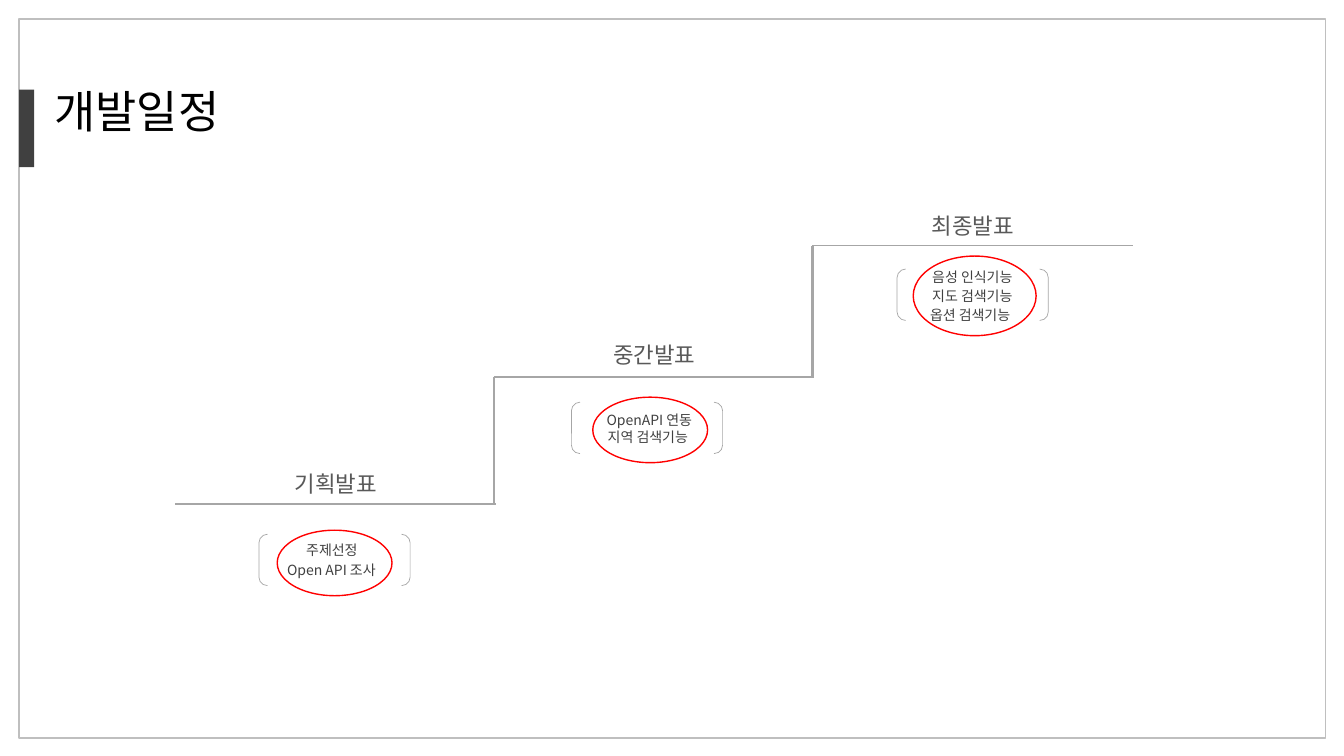
from pptx import Presentation
from pptx.dml.color import RGBColor
from pptx.enum.shapes import MSO_CONNECTOR, MSO_SHAPE
from pptx.enum.text import MSO_ANCHOR, MSO_AUTO_SIZE, PP_ALIGN
from pptx.oxml.ns import qn
from pptx.util import Pt
from lxml import etree

# Content: each step has its line height, label top, bracket, ellipse and tasks
TITLE = "개발일정"
STEPS = [
    dict(label="기획발표", y=360, label_y=332.6, bracket=(185, 381.6),
         ellipse=(198, 378.7, 82, 46.8),
         tasks=[("주제선정", 211.7, 383, 54.7), ("Open API 조사", 198, 397.6, 82)]),
    dict(label="중간발표", y=269.3, label_y=239.8, bracket=(408.2, 287.3),
         ellipse=(423.4, 283.7, 82, 46.8),
         tasks=[("OpenAPI 연동", 426.2, 290.2, 78.5), ("지역 검색기능", 427, 302.4, 78.5)]),
    dict(label="최종발표", y=175.7, label_y=148.3, bracket=(640.8, 192.2),
         ellipse=(652.3, 182.9, 87.8, 56.9),
         tasks=[("음성 인식기능", 658.8, 188.6, 78.5), ("지도 검색기능", 658.8, 201.8, 78.5),
                ("옵션 검색기능", 657.2, 215.3, 78.5)]),
]

FONT = "Noto Sans CJK KR"
WHITE = RGBColor(0xFF, 0xFF, 0xFF)
BLACK = RGBColor(0, 0, 0)
RED = RGBColor(0xFF, 0, 0)
DARK = RGBColor(0x40, 0x40, 0x40)
MID = RGBColor(0x59, 0x59, 0x59)
GRAY = RGBColor(0xA6, 0xA6, 0xA6)
LIGHT = RGBColor(0xBF, 0xBF, 0xBF)

RECT, OVAL, BRACKETS = MSO_SHAPE.RECTANGLE, MSO_SHAPE.OVAL, MSO_SHAPE.DOUBLE_BRACKET
LEFT, CENTER = PP_ALIGN.LEFT, PP_ALIGN.CENTER
STEP_X, STEP_DX, STEP_W = 125.3, 227.5, 229
LABEL_W = 310.4

prs = Presentation()
prs.slide_width, prs.slide_height = Pt(960), Pt(540)
s = prs.slides.add_slide(prs.slide_layouts[5])


def add_shape(kind, box, fill=None, line=None, width=1):
    sp = s.shapes.add_shape(kind, *map(Pt, box))
    sp.shadow.inherit = False
    if fill is None:
        sp.fill.background()
    else:
        sp.fill.solid()
        sp.fill.fore_color.rgb = fill
    if line is None:
        sp.line.fill.background()
    else:
        sp.line.color.rgb = line
        sp.line.width = Pt(width)


def add_line(x1, y1, x2, y2, width):
    c = s.shapes.add_connector(MSO_CONNECTOR.STRAIGHT, *map(Pt, (x1, y1, x2, y2)))
    c.line.color.rgb = GRAY
    c.line.width = Pt(width)
    etree.SubElement(c._element.spPr, qn("a:effectLst"))


def set_text(sp, text, size, color, align=LEFT, wrap=True):
    tf = sp.text_frame
    tf.text = text
    tf.word_wrap = wrap
    tf.auto_size = MSO_AUTO_SIZE.SHAPE_TO_FIT_TEXT
    tf.vertical_anchor = MSO_ANCHOR.TOP
    p = tf.paragraphs[0]
    p.alignment = align
    p.font.size = Pt(size)
    p.font.color.rgb = color
    p.font.name = FONT
    # East Asian typeface for the Korean letters
    etree.SubElement(p.font._rPr, qn("a:ea"), typeface=FONT)


def add_text(box, *args, **kwargs):
    set_text(s.shapes.add_textbox(*map(Pt, box)), *args, **kwargs)


# Frame, accent bar and title
add_shape(RECT, (13.7, 13.7, 933.1, 513.4), line=LIGHT)
add_shape(RECT, (13.7, 64.1, 10.8, 55.4), fill=DARK)
title = s.shapes.title
title.left, title.top, title.width, title.height = map(Pt, (31.7, 56.2, 382.3, 46.1))
set_text(title, TITLE, 32, BLACK)

# Staircase with the tasks under each step
for i, step in enumerate(STEPS):
    x, y = STEP_X + i * STEP_DX, step["y"]
    add_line(x, y, x + STEP_W, y, 0.75)
    if i:
        add_line(x, y, x, STEPS[i - 1]["y"], 2)
    add_text((x + (STEP_W - LABEL_W) / 2, step["label_y"], LABEL_W, 26.6),
             step["label"], 16, MID, CENTER)
    add_shape(OVAL, step["ellipse"], WHITE, RED)
    add_shape(BRACKETS, (*step["bracket"], 108, 36.7), line=GRAY, width=0.5)
    for task, left, top, width in step["tasks"]:
        add_text((left, top, width, 19.4), task, 10, DARK, wrap=False)

prs.save("out.pptx")
